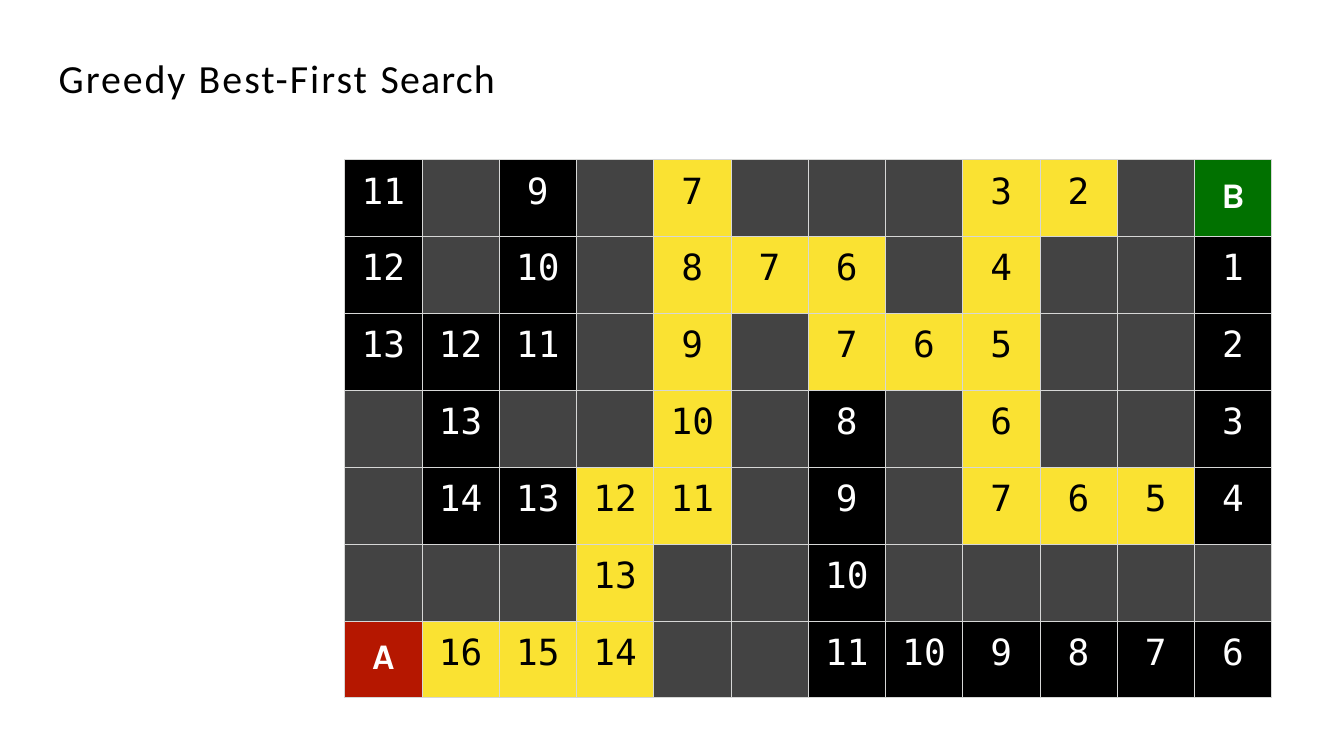
"""Builds a slide with a maze grid solved by greedy best-first search."""
from lxml.etree import SubElement
from pptx import Presentation
from pptx.dml.color import RGBColor
from pptx.enum.text import MSO_ANCHOR, MSO_AUTO_SIZE, PP_ALIGN
from pptx.oxml.ns import qn
from pptx.util import Inches, Pt

COLORS = {
    "black": "000000",
    "white": "FFFFFF",
    "wall": "434343",
    "path": "FAE232",
    "start": "B51700",
    "goal": "017100",
    "border": "D6D7D6",
}
WALL, PATH_MARK = ".", "*"
MAZE = [
    "11  .   9   .   *7  .   .   .   *3  *2  .   B",
    "12  .   10  .   *8  *7  *6  .   *4  .   .   1",
    "13  12  11  .   *9  .   *7  *6  *5  .   .   2",
    ".   13  .   .   *10 .   8   .   *6  .   .   3",
    ".   14  13  *12 *11 .   9   .   *7  *6  *5  4",
    ".   .   .   *13 .   .   10  .   .   .   .   .",
    "A   *16 *15 *14 .   .   11  10  9   8   7   6",
]
ENDPOINTS = {"A": "start", "B": "goal"}
NUMBER_FONT = {"name": "DejaVu Sans Mono", "size": Pt(42.5), "bold": False}
ENDPOINT_FONT = {"name": "Karla", "size": Pt(42.5), "bold": True}
TITLE_FONT = {"name": "Calibri", "size": Pt(47), "bold": False}
TITLE_RUNS = [("Greedy ", 2.3), ("Best-First ", 2.4), ("Search", 1.4)]


def rgb(name):
    return RGBColor.from_string(COLORS[name])


def add_run(para, text, font_format, color, spacing=0):
    run = para.add_run()
    run.text = text
    for key, value in font_format.items():
        setattr(run.font, key, value)
    run.font.color.rgb = rgb(color)
    if spacing:
        run.font._element.set("spc", str(round(spacing * 100)))


def set_margins(target, top):
    margins = {"left": 0, "top": top, "right": 0, "bottom": 0}
    for side, inches in margins.items():
        setattr(target, f"margin_{side}", Inches(inches))


def set_borders(cell):
    properties = cell._tc.get_or_add_tcPr()
    for side in "LRTB":
        line = SubElement(properties, qn(f"a:ln{side}"), w=str(Pt(1)))
        fill = SubElement(line, qn("a:solidFill"))
        SubElement(fill, qn("a:srgbClr"), val=COLORS["border"])


def paint(cell, color):
    cell.fill.solid()
    cell.fill.fore_color.rgb = rgb(color)


def fill_cell(cell, token):
    set_borders(cell)
    if token == WALL:
        paint(cell, "wall")
        return
    on_path = token.startswith(PATH_MARK)
    is_endpoint = token in ENDPOINTS
    text = token.lstrip(PATH_MARK)
    paint(cell, "path" if on_path else ENDPOINTS.get(token, "black"))
    set_margins(cell, 0.26 if is_endpoint else 0.18)
    para = cell.text_frame.paragraphs[0]
    para.alignment = PP_ALIGN.CENTER
    add_run(para, text, ENDPOINT_FONT if is_endpoint else NUMBER_FONT,
            "black" if on_path else "white", 0.2 if len(text) > 1 else 0)


def add_maze(page):
    rows = [line.split() for line in MAZE]
    frame = page.shapes.add_table(
        len(rows), len(rows[0]),
        Inches(5.64), Inches(2.61), Inches(15.17), Inches(8.81))
    table = frame.table
    table.first_row = table.horz_banding = False
    for row_index, row in enumerate(rows):
        for column_index, token in enumerate(row):
            fill_cell(table.cell(row_index, column_index), token)


def add_title(page):
    title = page.shapes.title
    box = {"left": 0.96, "top": 0.86, "width": 8.07, "height": 0.81}
    for key, inches in box.items():
        setattr(title, key, Inches(inches))
    frame = title.text_frame
    frame.auto_size = MSO_AUTO_SIZE.NONE
    frame.vertical_anchor = MSO_ANCHOR.MIDDLE
    set_margins(frame, 0.01)
    para = frame.paragraphs[0]
    para.alignment = PP_ALIGN.LEFT
    for text, spacing in TITLE_RUNS:
        add_run(para, text, TITLE_FONT, "black", spacing)


def main():
    deck = Presentation()
    deck.slide_width, deck.slide_height = Inches(21.99), Inches(12.37)
    page = deck.slides.add_slide(deck.slide_layouts.get_by_name("Title Only"))
    add_maze(page)
    add_title(page)
    deck.save("out.pptx")


if __name__ == "__main__":
    main()
